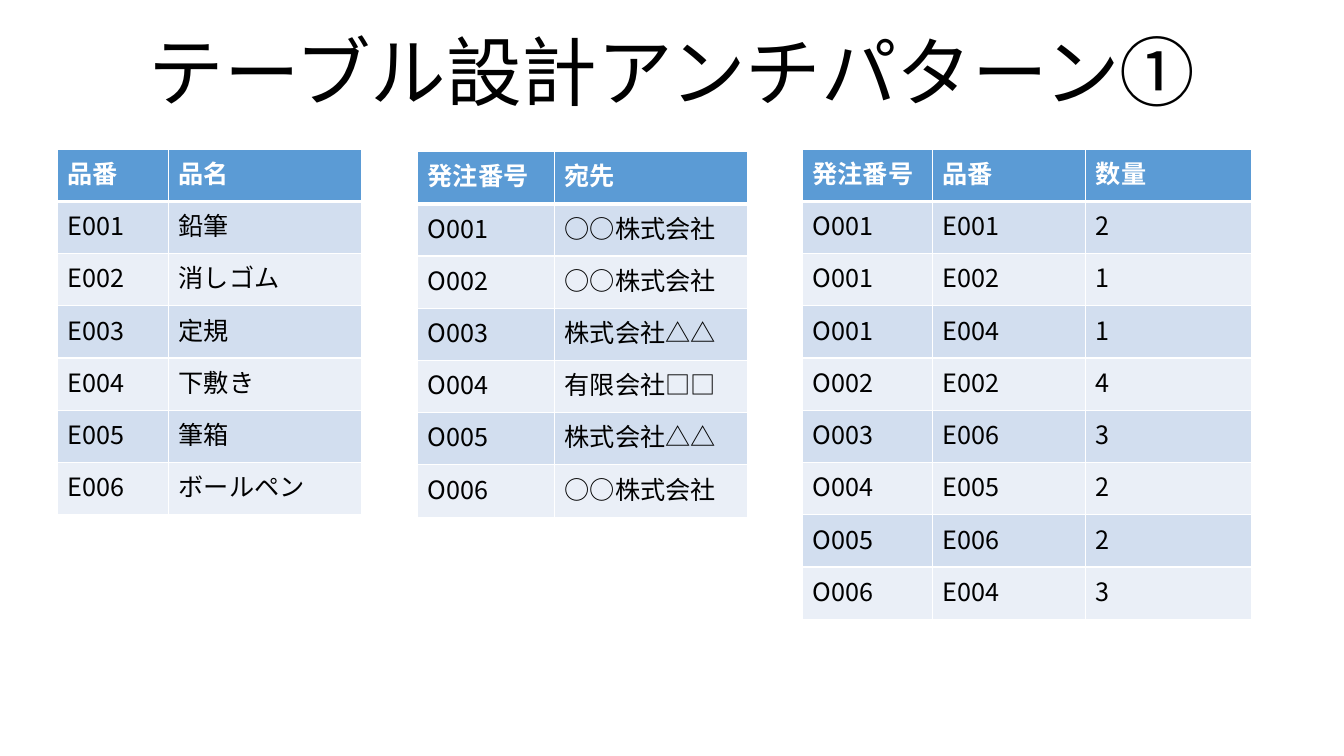
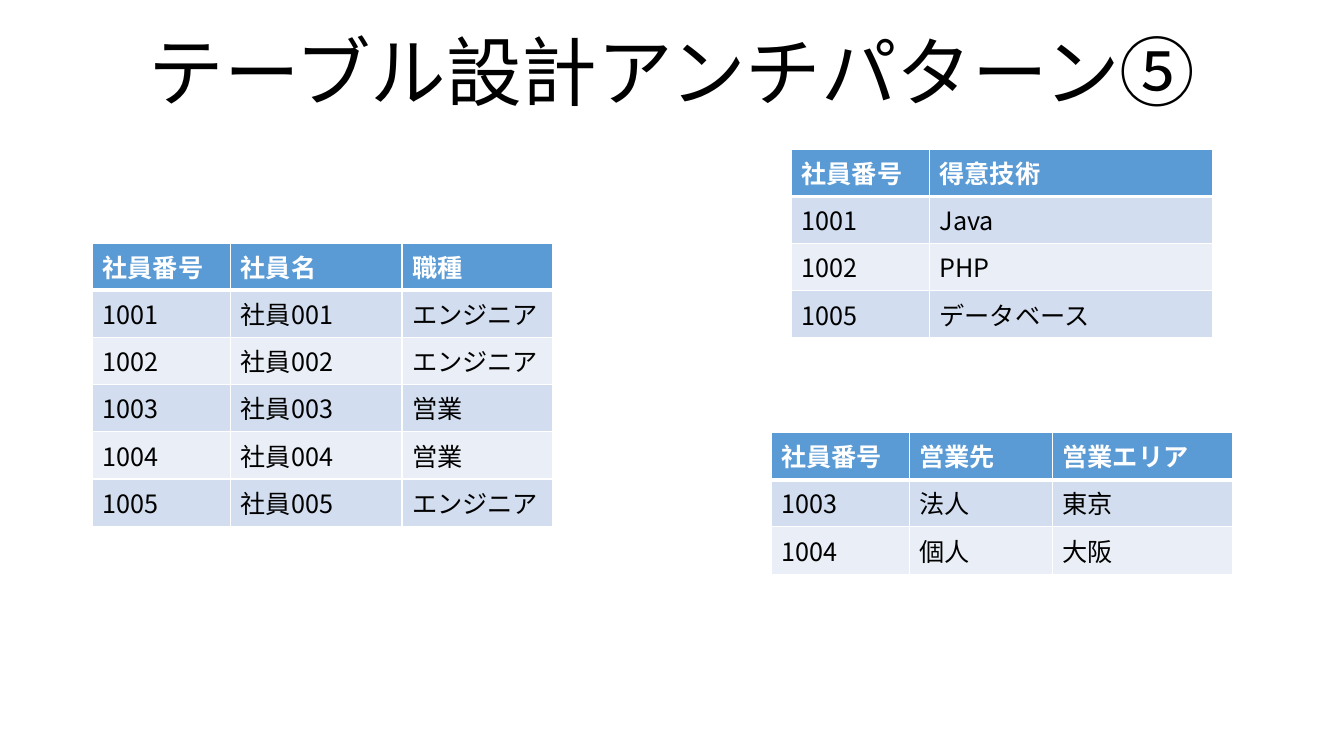
from dataclasses import dataclass

from lxml import etree
from pptx import Presentation
from pptx.dml.color import RGBColor
from pptx.enum.text import MSO_ANCHOR, MSO_AUTO_SIZE, PP_ALIGN
from pptx.oxml.ns import qn
from pptx.slide import Slide
from pptx.table import _Cell
from pptx.text.text import _Paragraph
from pptx.util import Inches, Length, Pt

MIDDLE = MSO_ANCHOR.MIDDLE
CENTER = PP_ALIGN.CENTER
NO_FIT = MSO_AUTO_SIZE.NONE

SLIDE_WIDTH, SLIDE_HEIGHT = Inches(13.333), Inches(7.5)
TITLE_ONLY = 5
FONT = "Noto Sans CJK JP"
TITLE_SIZE, CELL_SIZE = 54, 18
THIN, THICK = 1, 3
COLORS = {
    "ink": "000000",
    "paper": "FFFFFF",
    "header": "5B9BD5",
    "odd": "D2DEEF",
    "even": "EAEFF7",
}


@dataclass(frozen=True)
class Relation:
    """A database table; lengths are percentages of the slide's size."""

    left: float
    top: float
    row_height: float
    columns: dict[str, float]
    records: list[tuple[str, ...]]


@dataclass(frozen=True)
class Page:
    """One slide: its title and the relations on it."""

    title: str
    relations: list[Relation]


TALL_ROW, SHORT_ROW = 6.91, 6.25
UPPER_EDGE = 19.73
EMPLOYEE_NO = {"社員番号": 10.28}

PAGES = [
    Page("テーブル設計アンチパターン①", [
        Relation(4.28, UPPER_EDGE, TALL_ROW, {"品番": 8.27, "品名": 14.33}, [
            ("E001", "鉛筆"),
            ("E002", "消しゴム"),
            ("E003", "定規"),
            ("E004", "下敷き"),
            ("E005", "筆箱"),
            ("E006", "ボールペン"),
        ]),
        Relation(31.07, 20.04, TALL_ROW, {"発注番号": 10.2, "宛先": 14.33}, [
            ("O001", "○○株式会社"),
            ("O002", "○○株式会社"),
            ("O003", "株式会社△△"),
            ("O004", "有限会社□□"),
            ("O005", "株式会社△△"),
            ("O006", "○○株式会社"),
        ]),
        Relation(59.7, UPPER_EDGE, TALL_ROW,
                 {"発注番号": 9.7, "品番": 11.4, "数量": 12.3}, [
            ("O001", "E001", "2"),
            ("O001", "E002", "1"),
            ("O001", "E004", "1"),
            ("O002", "E002", "4"),
            ("O003", "E006", "3"),
            ("O004", "E005", "2"),
            ("O005", "E006", "2"),
            ("O006", "E004", "3"),
        ]),
    ]),
    Page("テーブル設計アンチパターン⑤", [
        Relation(6.88, 32.13, SHORT_ROW,
                 EMPLOYEE_NO | {"社員名": 12.75, "職種": 11.18}, [
            ("1001", "社員001", "エンジニア"),
            ("1002", "社員002", "エンジニア"),
            ("1003", "社員003", "営業"),
            ("1004", "社員004", "営業"),
            ("1005", "社員005", "エンジニア"),
        ]),
        Relation(58.88, UPPER_EDGE, SHORT_ROW, EMPLOYEE_NO | {"得意技術": 21.1}, [
            ("1001", "Java"),
            ("1002", "PHP"),
            ("1005", "データベース"),
        ]),
        Relation(57.38, 57.2, SHORT_ROW,
                 EMPLOYEE_NO | {"営業先": 10.65, "営業エリア": 13.43}, [
            ("1003", "法人", "東京"),
            ("1004", "個人", "大阪"),
        ]),
    ]),
]


def across(percent: float) -> Length:
    """Turn a share of the slide's width into a length."""
    return Length(int(SLIDE_WIDTH * percent / 100))


def down(percent: float) -> Length:
    """Turn a share of the slide's height into a length."""
    return Length(int(SLIDE_HEIGHT * percent / 100))


def add_words(paragraph: _Paragraph, words: str, size: int, color: str,
              bold: bool = False) -> None:
    """Add one run in the shared font."""
    run = paragraph.add_run()
    run.text = words
    run.font.name = FONT
    run.font.size = Pt(size)
    run.font.bold = bold
    run.font.color.rgb = RGBColor.from_string(COLORS[color])
    east_asian = etree.SubElement(run._r.get_or_add_rPr(), qn("a:ea"))
    east_asian.set("typeface", FONT)


def add_title(slide: Slide, words: str) -> None:
    """Place and fill the title placeholder."""
    title = slide.shapes.title
    title.left, title.top = across(6.88), down(0.42)
    title.width, title.height = across(86.25), down(19.33)
    frame = title.text_frame
    frame.word_wrap = True
    frame.auto_size = NO_FIT
    frame.vertical_anchor = MIDDLE
    paragraph = frame.paragraphs[0]
    paragraph.alignment = CENTER
    paragraph.line_spacing = 0.9
    add_words(paragraph, words, TITLE_SIZE, "ink")


def add_borders(cell: _Cell, top: int, bottom: int) -> None:
    """Draw the four rules of a cell, with widths in points."""
    properties = cell._tc.get_or_add_tcPr()
    widths = {"lnL": THIN, "lnR": THIN, "lnT": top, "lnB": bottom}
    for edge, width in widths.items():
        rule = etree.SubElement(properties, qn(f"a:{edge}"), w=str(Pt(width)))
        fill = etree.SubElement(rule, qn("a:solidFill"))
        etree.SubElement(fill, qn("a:srgbClr"), val=COLORS["paper"])


def fill_cell(cell: _Cell, words: str, row: int) -> None:
    """Style a cell by its row: the header first, then alternating bands."""
    is_header = row == 0
    add_borders(cell, THICK if row == 1 else THIN, THICK if is_header else THIN)
    band = "header" if is_header else ("odd" if row % 2 else "even")
    cell.fill.solid()
    cell.fill.fore_color.rgb = RGBColor.from_string(COLORS[band])
    add_words(cell.text_frame.paragraphs[0], words, CELL_SIZE,
              "paper" if is_header else "ink", bold=is_header)


def add_relation(slide: Slide, relation: Relation) -> None:
    """Draw a relation as a table."""
    lines = [tuple(relation.columns), *relation.records]
    grid = slide.shapes.add_table(
        len(lines), len(relation.columns),
        across(relation.left), down(relation.top),
        across(sum(relation.columns.values())),
        down(relation.row_height * len(lines)),
    ).table
    grid.horz_banding = False
    for column, width in zip(grid.columns, relation.columns.values()):
        column.width = across(width)
    for row, line in enumerate(lines):
        grid.rows[row].height = down(relation.row_height)
        for position, words in enumerate(line):
            fill_cell(grid.cell(row, position), words, row)


def main() -> None:
    """Build every page and save the deck."""
    deck = Presentation()
    deck.slide_width, deck.slide_height = SLIDE_WIDTH, SLIDE_HEIGHT
    for page in PAGES:
        slide = deck.slides.add_slide(deck.slide_layouts[TITLE_ONLY])
        add_title(slide, page.title)
        for relation in page.relations:
            add_relation(slide, relation)
    deck.save("out.pptx")


main()
